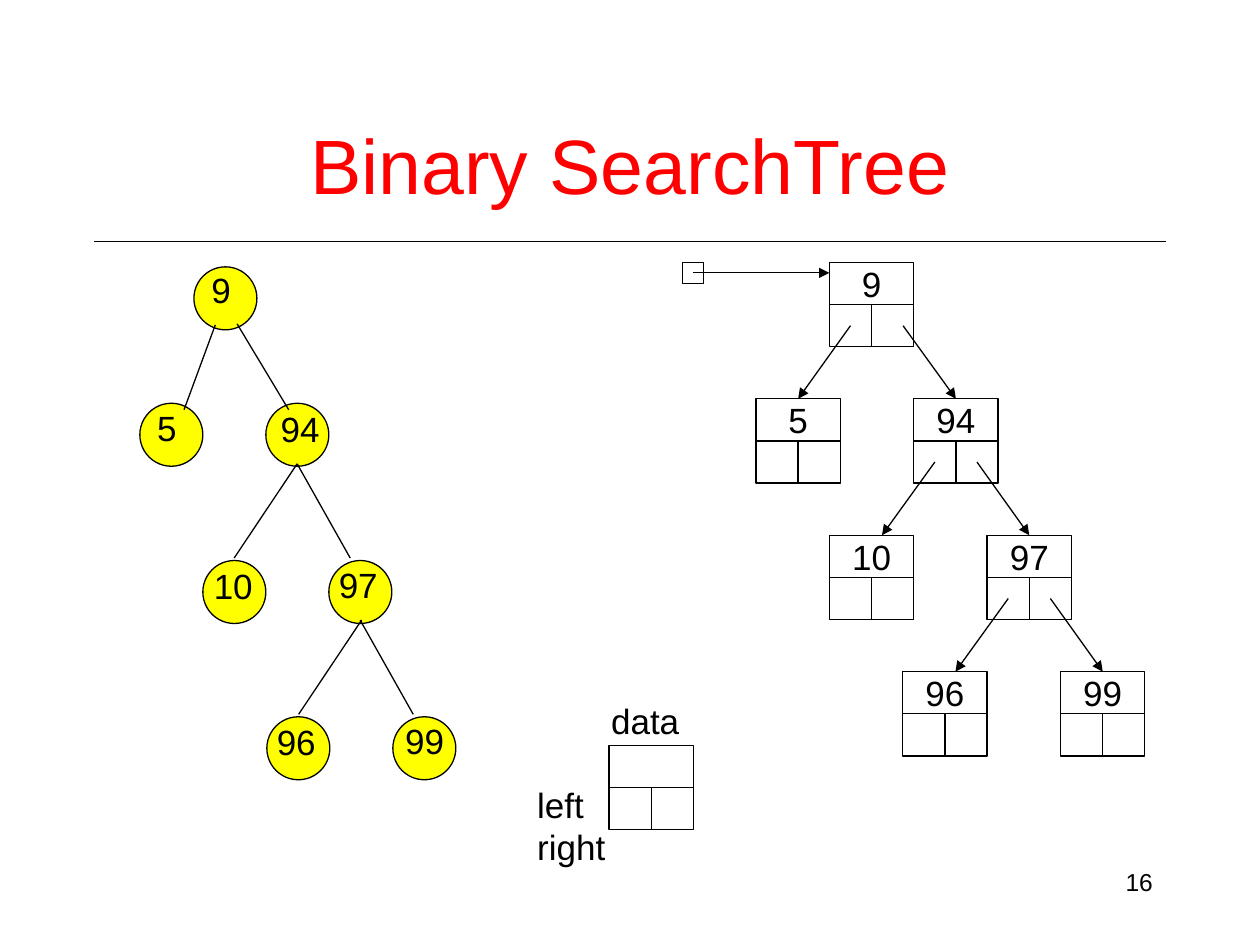
from dataclasses import dataclass
from typing import NamedTuple

from lxml.etree import SubElement
from pptx import Presentation
from pptx.dml.color import RGBColor
from pptx.enum.shapes import MSO_CONNECTOR as CONN, MSO_SHAPE as SHAPE
from pptx.enum.text import MSO_ANCHOR as ANCHOR, PP_ALIGN as ALIGN
from pptx.oxml.ns import qn
from pptx.util import Cm, Pt


@dataclass(frozen=True)
class Theme:
    """Colours, font and type sizes."""
    ink: RGBColor = RGBColor(0, 0, 0)
    title: RGBColor = RGBColor(255, 0, 0)
    node: RGBColor = RGBColor(255, 255, 0)
    font: str = "Arial"
    title_size: int = 44
    body_size: int = 20
    number_size: int = 14
    line: float = 0.75


class Point(NamedTuple):
    """A place on the slide in centimetres."""
    x: float
    y: float


@dataclass(frozen=True)
class Node:
    """A circle of the tree with its separately placed label."""
    value: str
    at: Point
    label: Point
    label_width: float


@dataclass(frozen=True)
class Record:
    """A data cell over two pointer cells, placed by tree level."""
    value: str
    x: float
    level: int

    @property
    def y(self) -> float:
        """Top of the record."""
        return ROOT_TOP + self.level * LEVEL_STEP


@dataclass(frozen=True)
class Link:
    """A pointer from one side of a record to its child, with small shifts."""
    parent: str
    child: str
    side: int
    start_shift: float = 0
    end_shift: float = 0


T = Theme()
CELL, ROOT_TOP, LEVEL_STEP, DIAMETER = 0.85, 5.29, 2.75, 1.27

NODES = [
    Node("9", Point(3.91, 5.38), Point(4.01, 5.28), 1.12),
    Node("5", Point(2.82, 8.13), Point(2.92, 8.08), 1.12),
    Node("94", Point(5.36, 8.13), Point(5.41, 8.1), 1.93),
    Node("10", Point(4.09, 11.3), Point(4.06, 11.25), 1.73),
    Node("97", Point(6.63, 11.3), Point(6.58, 11.23), 1.93),
    Node("96", Point(5.38, 14.45), Point(5.33, 14.4), 1.93),
    Node("99", Point(7.92, 14.45), Point(7.92, 14.38), 1.5),
]
EDGES = [
    (Point(4.34, 6.55), Point(3.71, 8.26)),
    (Point(4.78, 6.53), Point(5.82, 8.26)),
    (Point(5.99, 9.35), Point(4.72, 11.25)),
    (Point(5.99, 9.35), Point(7.06, 11.25)),
    (Point(7.29, 12.5), Point(6.02, 14.4)),
    (Point(7.26, 12.5), Point(8.33, 14.4)),
]
RECORDS = [
    Record("9", 16.72, 0),
    Record("5", 15.24, 1),
    Record("94", 18.42, 1),
    Record("10", 16.72, 2),
    Record("97", 19.9, 2),
    Record("96", 18.2, 3),
    Record("99", 21.38, 3),
]
LINKS = [
    Link("9", "5", 0),
    Link("94", "10", 0, end_shift=0.21),
    Link("97", "96", 0, end_shift=0.21),
    Link("9", "94", 1, start_shift=0.21),
    Link("94", "97", 1),
    Link("97", "99", 1),
]


def style_text(tf, size: int, color: RGBColor = T.ink, align: ALIGN = ALIGN.LEFT) -> None:
    """Format every run of a text frame."""
    for p in tf.paragraphs:
        p.alignment = align
        for r in p.runs:
            r.font.name, r.font.size = T.font, Pt(size)
            r.font.color.rgb = color


def add_text(s, text: str, at: Point, width: float, height: float = 1.09,
             size: int = T.body_size, align: ALIGN = ALIGN.LEFT) -> None:
    """Add a wrapped text box."""
    tf = s.shapes.add_textbox(Cm(at.x), Cm(at.y), Cm(width), Cm(height)).text_frame
    tf.word_wrap = True
    tf.text = text
    style_text(tf, size, align=align)


def add_outline(s, kind: SHAPE, at: Point, width: float, height: float):
    """Add an unfilled shape with a thin line."""
    sp = s.shapes.add_shape(kind, Cm(at.x), Cm(at.y), Cm(width), Cm(height))
    sp.shadow.inherit = False
    sp.fill.background()
    sp.line.color.rgb, sp.line.width = T.ink, Pt(T.line)
    return sp


def add_line(s, start: Point, end: Point, arrow: bool = False):
    """Add a straight connector, with an arrowhead if asked."""
    c = s.shapes.add_connector(CONN.STRAIGHT, Cm(start.x), Cm(start.y), Cm(end.x), Cm(end.y))
    c.line.color.rgb, c.line.width = T.ink, Pt(T.line)
    if arrow:
        SubElement(c.line._get_or_add_ln(), qn("a:tailEnd"), type="triangle")
    SubElement(c._element.spPr, qn("a:effectLst"))
    return c


def add_node(s, node: Node) -> None:
    """Add a filled circle."""
    sp = add_outline(s, SHAPE.OVAL, node.at, DIAMETER, DIAMETER)
    sp.fill.solid()
    sp.fill.fore_color.rgb = T.node


def add_record(s, at: Point, value: str = ""):
    """Add a record and return its data cell."""
    for side in range(2):
        add_outline(s, SHAPE.RECTANGLE, Point(at.x + side * CELL, at.y + CELL), CELL, CELL)
    sp = add_outline(s, SHAPE.RECTANGLE, at, 2 * CELL, CELL)
    if value:
        tf = sp.text_frame
        tf.word_wrap, tf.vertical_anchor = False, ANCHOR.MIDDLE
        tf.text = value
        style_text(tf, T.body_size, align=ALIGN.CENTER)
    return sp


def add_link(s, link: Link, records: dict, cells: dict) -> None:
    """Add the arrow from a pointer cell to the top of a child record."""
    parent, child = records[link.parent], records[link.child]
    start = Point(parent.x + (link.side + 0.5) * CELL + link.start_shift, parent.y + 1.5 * CELL)
    end = Point(child.x + CELL + link.end_shift, child.y)
    c = add_line(s, start, end, arrow=True)
    if not link.end_shift:
        c.end_connect(cells[link.child], 0)


def main() -> None:
    """Build and save the slide."""
    prs = Presentation()
    prs.slide_width, prs.slide_height = Cm(25.4), Cm(19.05)
    s = prs.slides.add_slide(prs.slide_layouts[5])

    title = s.shapes.title
    title.left, title.top, title.width, title.height = Cm(1.9), Cm(1.7), Cm(21.6), Cm(3.18)
    title.text_frame.text = "Binary SearchTree"
    title.text_frame.vertical_anchor = ANCHOR.MIDDLE
    style_text(title.text_frame, T.title_size, T.title, ALIGN.CENTER)
    add_line(s, Point(1.9, 4.87), Point(23.5, 4.87))
    add_text(s, "16", Point(18.21, 17.35), 5.28, 1.27, T.number_size, ALIGN.RIGHT)

    for node in NODES:
        add_node(s, node)
    for start, end in EDGES:
        add_line(s, start, end)
    for node in NODES:
        add_text(s, node.value, node.label, node.label_width)

    add_record(s, Point(12.28, 15.03))
    add_text(s, "data", Point(12.07, 13.97), 1.95)
    add_text(s, "left\nright", Point(10.58, 15.67), 2.1, 1.95)

    records = {rec.value: rec for rec in RECORDS}
    cells = {rec.value: add_record(s, Point(rec.x, rec.y), rec.value) for rec in RECORDS}
    for link in LINKS:
        add_link(s, link, records, cells)
    add_outline(s, SHAPE.RECTANGLE, Point(13.76, ROOT_TOP), CELL / 2, CELL / 2)
    add_line(s, Point(13.97, 5.5), Point(RECORDS[0].x, 5.5), arrow=True)

    prs.save("out.pptx")


if __name__ == "__main__":
    main()
